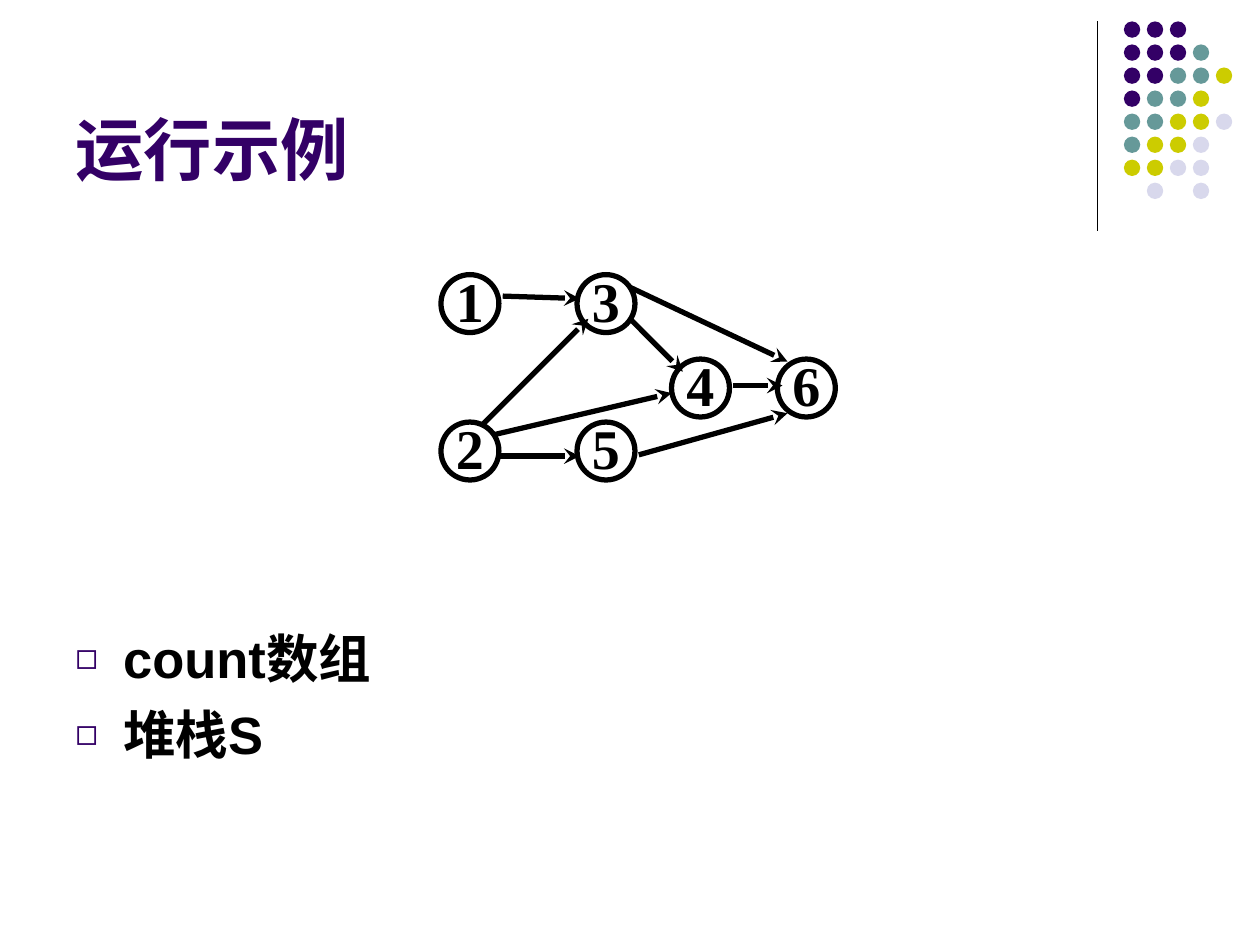
import lxml.etree
import pptx
import pptx.dml.color
import pptx.enum.shapes
import pptx.enum.text
import pptx.oxml.ns
import pptx.util

Inches = pptx.util.Inches
Pt = pptx.util.Pt
ANCHOR = pptx.enum.text.MSO_ANCHOR
ALIGN = pptx.enum.text.PP_ALIGN
OVAL = pptx.enum.shapes.MSO_SHAPE.OVAL
STRAIGHT = pptx.enum.shapes.MSO_CONNECTOR.STRAIGHT

COLORS = {
    "purple": "330066",
    "teal": "669999",
    "olive": "CCCC00",
    "lavender": "D8D8EC",
    "black": "000000",
}
FONTS = {
    "title": {"name": "Arial", "size": Pt(39), "bold": True},
    "bullet": {"name": "Arial", "size": Pt(30), "bold": True},
    "node": {"name": "Times New Roman", "size": Pt(32), "bold": True},
}
DOT_COLORS = {"p": "purple", "t": "teal", "o": "olive", "l": "lavender"}
DOT_ROWS = ["ppp", "pppt", "pptto", "ptto", "ttool", "tool", "ooll", " l l"]
NODES = {
    "1": (3.5, 2.18),
    "2": (3.5, 3.35),
    "3": (4.58, 2.18),
    "4": (5.33, 2.85),
    "5": (4.58, 3.35),
    "6": (6.17, 2.85),
}
EDGES = [
    ((3.99, 2.35), (4.6, 2.37)),
    ((3.94, 3.62), (4.6, 3.62)),
    ((3.92, 3.45), (5.33, 3.12)),
    ((3.83, 3.37), (4.67, 2.53)),
    ((5, 2.53), (5.42, 2.95)),
    ((5.82, 3.06), (6.21, 3.06)),
    ((5.07, 3.61), (6.25, 3.28)),
    ((5, 2.28), (6.25, 2.87)),
]


def rgb(color):
    return pptx.dml.color.RGBColor.from_string(COLORS[color])


def apply(target, values):
    for key, value in values.items():
        setattr(target, key, value)


def add_element(parent, tag, **attributes):
    name = pptx.oxml.ns.qn(tag)
    return lxml.etree.SubElement(parent, name, attributes)


class SlideBuilder:
    def __init__(self, slide):
        self.slide = slide

    def style_font(self, font, role, color):
        apply(font, FONTS[role])
        font.color.rgb = rgb(color)

    def title(self, text, left, top, width, height):
        title = self.slide.shapes.title
        apply(title, {"left": Inches(left), "top": Inches(top),
                      "width": Inches(width), "height": Inches(height)})
        title.text_frame.text = text
        title.text_frame.vertical_anchor = ANCHOR.BOTTOM
        paragraph = title.text_frame.paragraphs[0]
        paragraph.alignment = ALIGN.LEFT
        self.style_font(paragraph.runs[0].font, "title", "purple")

    def circle(self, left, top, size):
        circle = self.slide.shapes.add_shape(
            OVAL, Inches(left), Inches(top), Inches(size), Inches(size))
        circle.shadow.inherit = False
        return circle

    def dot(self, left, top, color):
        dot = self.circle(left, top, 0.13)
        dot.fill.solid()
        dot.fill.fore_color.rgb = rgb(color)
        dot.line.fill.background()

    def node(self, label, left, top):
        node = self.circle(left, top, 0.46)
        node.fill.background()
        node.line.color.rgb = rgb("black")
        node.line.width = Pt(3)
        frame = node.text_frame
        apply(frame, {"margin_left": 0, "margin_right": 0, "margin_top": 0,
                      "margin_bottom": Inches(0.06), "word_wrap": False,
                      "vertical_anchor": ANCHOR.MIDDLE})
        frame.text = label
        paragraph = frame.paragraphs[0]
        paragraph.alignment = ALIGN.CENTER
        self.style_font(paragraph.runs[0].font, "node", "black")

    def line(self, start, end, width, arrow=False):
        line = self.slide.shapes.add_connector(
            STRAIGHT, *(Inches(value) for value in (*start, *end)))
        line.line.color.rgb = rgb("black")
        line.line.width = Pt(width)
        if arrow:
            add_element(line.line._get_or_add_ln(), "a:tailEnd", type="stealth")
        add_element(line._element.spPr, "a:effectLst")

    def bullets(self, items, left, top, width, height):
        box = self.slide.shapes.add_textbox(
            Inches(left), Inches(top), Inches(width), Inches(height))
        frame = box.text_frame
        apply(frame, {"word_wrap": True, "margin_top": 0, "margin_bottom": 0})
        for index, item in enumerate(items):
            paragraph = frame.paragraphs[0] if index == 0 else frame.add_paragraph()
            properties = paragraph._p.get_or_add_pPr()
            properties.set("marL", str(Inches(0.38)))
            properties.set("indent", str(-Inches(0.38)))
            bullet_color = add_element(properties, "a:buClr")
            add_element(bullet_color, "a:srgbClr", val=COLORS["purple"])
            add_element(properties, "a:buSzPct", val="70000")
            add_element(properties, "a:buFont", typeface="Arial")
            add_element(properties, "a:buChar", char="◻")
            paragraph.space_before = Pt(7.5 if index else 0)
            run = paragraph.add_run()
            run.text = item
            self.style_font(run.font, "bullet", "black")


def main():
    deck = pptx.Presentation()
    deck.slide_width = Inches(10)
    deck.slide_height = Inches(7.5)
    builder = SlideBuilder(deck.slides.add_slide(deck.slide_layouts[5]))

    builder.line((8.71, 0.17), (8.71, 1.83), 0.75)
    for row, codes in enumerate(DOT_ROWS):
        for column, code in enumerate(codes):
            if code in DOT_COLORS:
                builder.dot(8.92 + column * 0.73 / 4, 0.17 + row * 1.28 / 7,
                            DOT_COLORS[code])

    builder.title("运行示例", 0.5, 0.13, 8.25, 1.42)
    builder.bullets(["count数组", "堆栈S"], 0.5, 4.97, 9, 1.2)
    for label, (left, top) in NODES.items():
        builder.node(label, left, top)
    for start, end in EDGES:
        builder.line(start, end, 3, arrow=True)

    deck.save("out.pptx")


if __name__ == "__main__":
    main()
